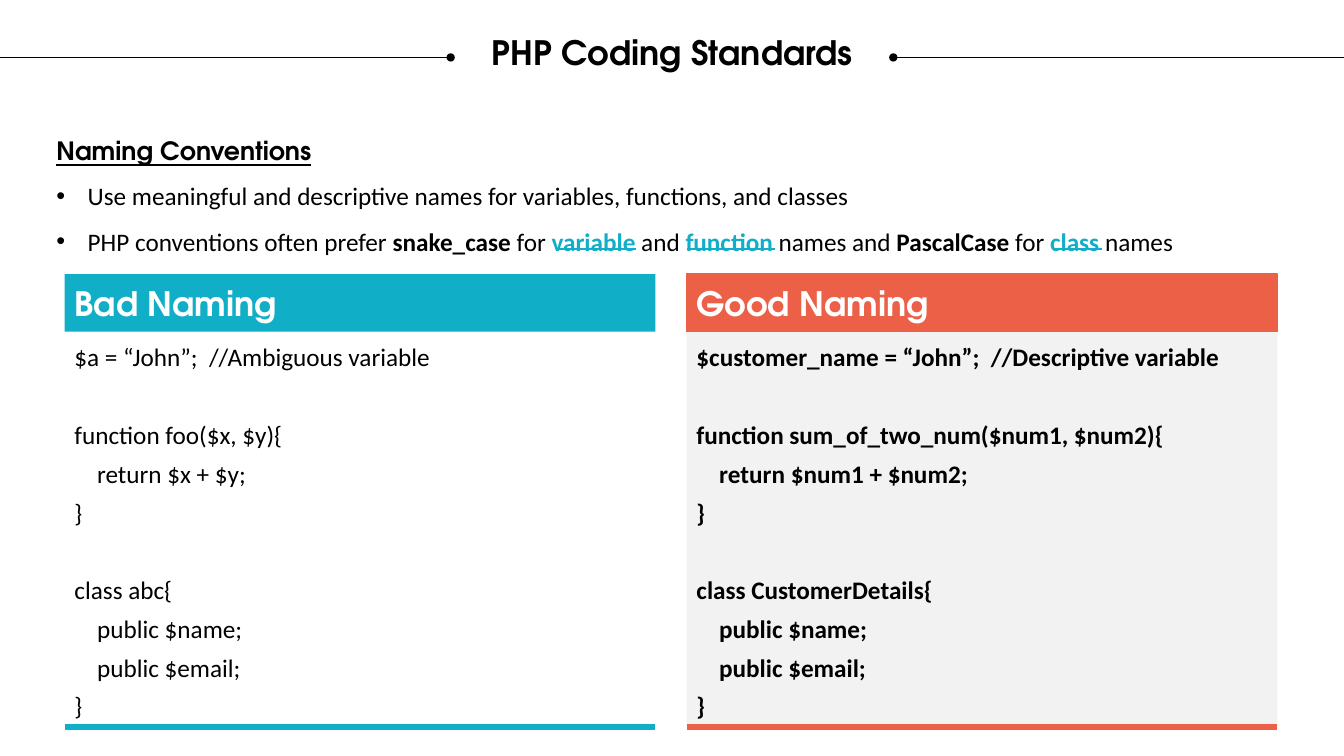
from lxml import etree
from pptx import Presentation
from pptx.dml.color import RGBColor
from pptx.enum.shapes import MSO_CONNECTOR, MSO_SHAPE
from pptx.enum.text import MSO_ANCHOR, MSO_AUTO_SIZE, PP_ALIGN
from pptx.oxml.ns import qn
from pptx.util import Inches, Pt

LINE, RECT = MSO_CONNECTOR.STRAIGHT, MSO_SHAPE.RECTANGLE
TOP, MIDDLE = MSO_ANCHOR.TOP, MSO_ANCHOR.MIDDLE
LEFT, CENTER = PP_ALIGN.LEFT, PP_ALIGN.CENTER
FIXED = MSO_AUTO_SIZE.NONE
HEAD, BODY = "TeX Gyre Adventor", "Calibri"
BLACK, WHITE, TEAL, CORAL, GREY = "000000", "FFFFFF", "11AEC7", "EB6047", "F2F2F2"
WIDE, HIGH = 13.33, 7.5

deck = Presentation()
deck.slide_width, deck.slide_height = Inches(WIDE), Inches(HIGH)
slide = deck.slides.add_slide(deck.slide_layouts[1])
shapes = slide.shapes


def add_run(para, text, font, size, color, bold=False):
    run = para.add_run()
    run.text = text
    run.font.name, run.font.size, run.font.bold = font, Pt(size), bold
    run.font.color.rgb = RGBColor.from_string(color)
    return run


def add_rule(start, end, y, color, width, dot=None):
    """Draw a level line; dot is the end tag that gets an oval."""
    rule = shapes.add_connector(LINE, Inches(start), Inches(y), Inches(end), Inches(y))
    rule.line.color.rgb = RGBColor.from_string(color)
    rule.line.width = Pt(width)
    props = rule._element.spPr
    if dot:
        etree.SubElement(props.find(qn("a:ln")), qn(dot), type="oval")
    etree.SubElement(props, qn("a:effectLst"))


# Title between two dotted rules
title = shapes.title
title.left, title.top = Inches(0.25), Inches(0.36)
title.width, title.height = Inches(WIDE - 0.5), Inches(0.36)
frame = title.text_frame
frame.auto_size, frame.vertical_anchor = FIXED, TOP
frame.margin_left = frame.margin_right = frame.margin_top = frame.margin_bottom = 0
para = frame.paragraphs[0]
para.alignment, para.line_spacing = CENTER, 0.9
add_run(para, "PHP Coding Standards", HEAD, 24, BLACK, True)
add_rule(0, 4.47, 0.57, BLACK, 0.5, "a:tailEnd")
add_rule(WIDE - 4.47, WIDE, 0.57, BLACK, 0.5, "a:headEnd")

# Heading and bullets
body = slide.placeholders[1]
body.left, body.top = Inches(0.46), Inches(1.14)
body.width, body.height = Inches(12.11), Inches(1.41)
frame = body.text_frame
frame.auto_size = FIXED
bullets = [
    [("Use meaningful and descriptive names for variables, functions, and classes", BLACK, False)],
    [("PHP conventions often prefer ", BLACK, False), ("snake_case", BLACK, True),
     (" for ", BLACK, False), ("variable", TEAL, True), (" and ", BLACK, False),
     ("function ", TEAL, True), ("names and ", BLACK, False),
     ("PascalCase", BLACK, True), (" for ", BLACK, False),
     ("class", TEAL, True), (" names", BLACK, False)],
]
para = frame.paragraphs[0]
props = para._p.get_or_add_pPr()
props.set("marL", "0")
props.set("indent", "0")
etree.SubElement(props, qn("a:buNone"))
para.line_spacing, para.space_before = 1.5, Pt(0)
add_run(para, "Naming Conventions", HEAD, 18, BLACK, True).font.underline = True
for parts in bullets:
    para = frame.add_paragraph()
    props = para._p.get_or_add_pPr()
    props.set("marL", str(Inches(0.31)))
    props.set("indent", str(-Inches(0.31)))
    etree.SubElement(props, qn("a:buFont"), typeface="Arial")
    etree.SubElement(props, qn("a:buChar"), char="•")
    para.line_spacing, para.space_before = 1.5, Pt(0)
    for text, color, bold in parts:
        add_run(para, text, BODY, 18, color, bold)
for start, end in [(5.52, 6.31), (6.81, 7.69), (10.44, 10.93)]:
    add_rule(start, end, 2.47, TEAL, 1.5)

# Code panels: each block of lines is set off by a wider gap
bad = [["$a = “John”;  //Ambiguous variable"],
       ["function foo($x, $y){", "    return $x + $y;", "}"],
       ["class abc{", "    public $name;", "    public $email;", "}"]]
good = [["$customer_name = “John”;  //Descriptive variable"],
        ["function sum_of_two_num($num1, $num2){", "    return $num1 + $num2;", "}"],
        ["class CustomerDetails{", "    public $name;", "    public $email;", "}"]]
panels = [("Bad Naming", bad, TEAL, WHITE, False),
          ("Good Naming", good, CORAL, GREY, True)]
EDGE, STEP, SPAN = 0.64, 6.17, 5.86
ROOF, SPLIT, FLOOR = 2.72, 3.29, 7.21

for col, (name, blocks, color, fill, bold) in enumerate(panels):
    left = EDGE + col * STEP
    frames = []
    for top, base, shade, anchor in [(SPLIT, FLOOR, fill, TOP), (ROOF, SPLIT, color, MIDDLE)]:
        box = shapes.add_shape(RECT, Inches(left), Inches(top), Inches(SPAN), Inches(base - top))
        box.shadow.inherit = False
        box.fill.solid()
        box.fill.fore_color.rgb = RGBColor.from_string(shade)
        box.line.fill.background()
        frame = box.text_frame
        frame.word_wrap, frame.vertical_anchor = True, anchor
        frame.margin_left = frame.margin_right = Inches(0.1)
        frame.margin_top = frame.margin_bottom = Inches(0.1)
        frame.paragraphs[0].alignment = LEFT
        frames.append(frame)
    if color == CORAL:
        box.line.color.rgb = RGBColor.from_string(color)
        box.line.width = Pt(1)
    code, head = frames
    add_run(head.paragraphs[0], name, HEAD, 24, WHITE, True)
    for part, block in enumerate(blocks):
        for row, text in enumerate(block):
            first = part == row == 0
            para = code.paragraphs[0] if first else code.add_paragraph()
            para.alignment = LEFT
            para.space_before = Pt(0 if first else 6 if row else 34)
            add_run(para, text, BODY, 18, BLACK, bold)
    add_rule(left, left + SPAN, FLOOR, color, 4.5)

deck.save("out.pptx")
